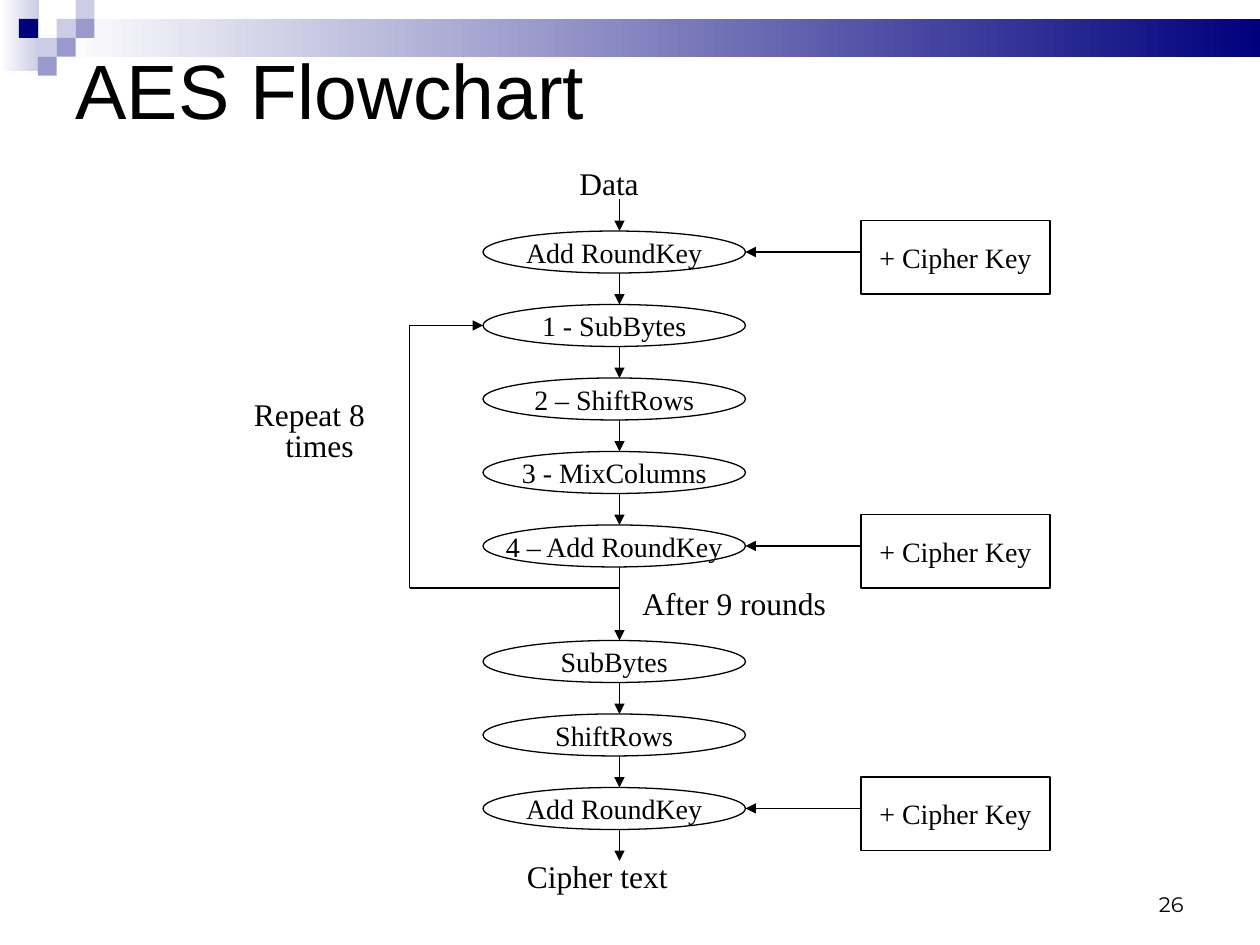
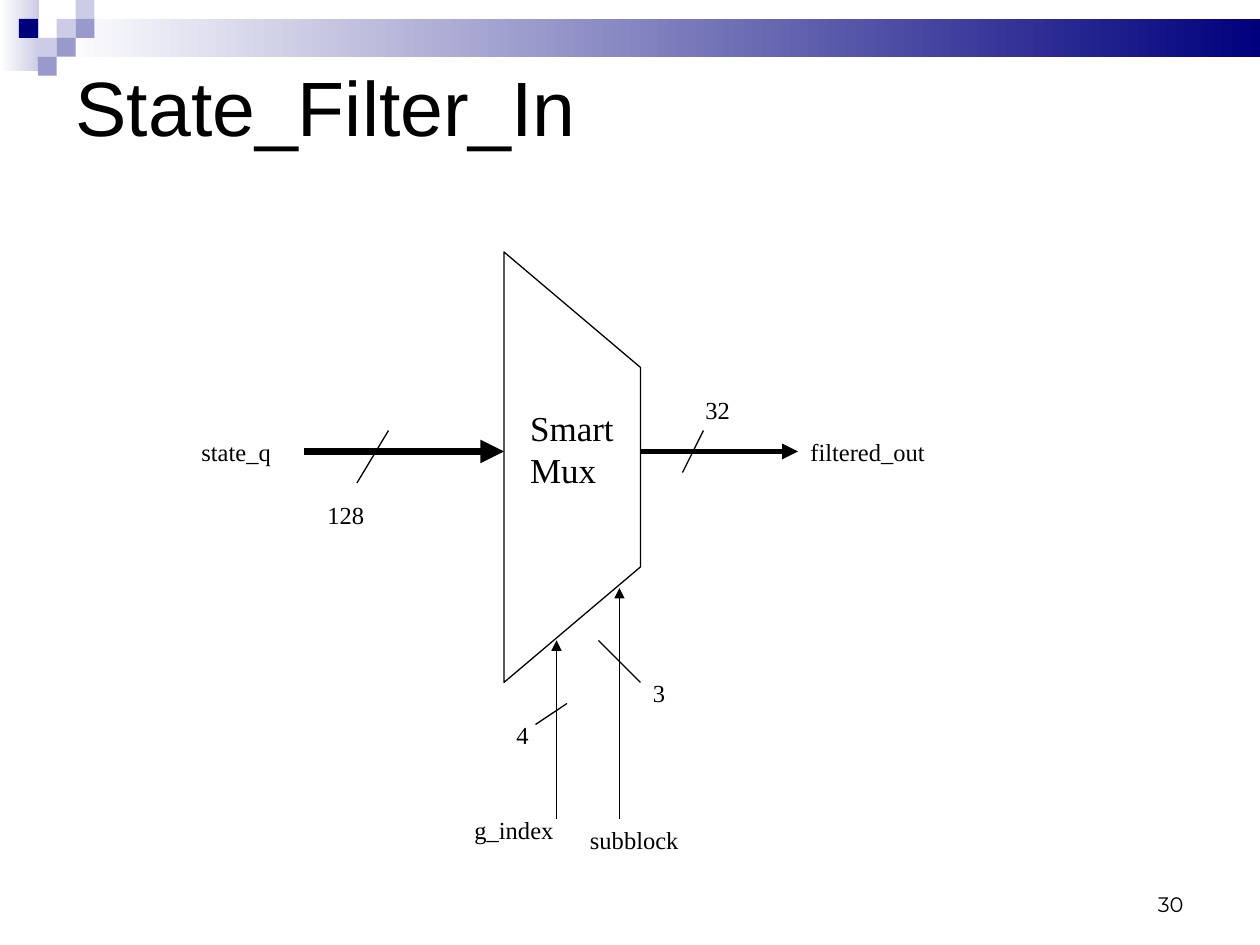
"""Builds two slides on AES: the cipher flowchart and the state filter mux."""
from dataclasses import dataclass

from lxml import etree
from pptx import Presentation
from pptx.dml.color import RGBColor
from pptx.enum.shapes import MSO_CONNECTOR, MSO_SHAPE
from pptx.enum.text import MSO_ANCHOR, MSO_AUTO_SIZE, PP_ALIGN
from pptx.oxml.ns import qn
from pptx.util import Inches, Pt

RECT, OVAL = MSO_SHAPE.RECTANGLE, MSO_SHAPE.OVAL
LINE = MSO_CONNECTOR.STRAIGHT
LEFT, MID, RIGHT = PP_ALIGN.LEFT, PP_ALIGN.CENTER, PP_ALIGN.RIGHT
TOP, CORE, BASE = MSO_ANCHOR.TOP, MSO_ANCHOR.MIDDLE, MSO_ANCHOR.BOTTOM
GROW, FIXED = MSO_AUTO_SIZE.SHAPE_TO_FIT_TEXT, MSO_AUTO_SIZE.NONE


@dataclass(frozen=True)
class Theme:
    ink: RGBColor = RGBColor(0, 0, 0)
    white: RGBColor = RGBColor(255, 255, 255)
    navy: RGBColor = RGBColor(0x00, 0x00, 0x7D)
    mid: RGBColor = RGBColor(0x99, 0x99, 0xCC)
    pale: RGBColor = RGBColor(0xCC, 0xCC, 0xE6)
    head: str = "Arial"
    body: str = "Times New Roman"
    foot: str = "Montserrat"
    title: int = 44
    mux: int = 20
    note: int = 18
    step: int = 16
    pin: int = 14
    page: int = 12
    thin: float = 0.75


T = Theme()
COLS = 120
deck = Presentation()
deck.slide_width, deck.slide_height = Inches(10), Inches(7.5)
UNIT = deck.slide_width // COLS


def place(slide, kind, cell, text="", size=T.step, fill=T.white, edge=True,
          font=T.body, align=LEFT, anchor=TOP, wrap=True, gap=0):
    """Put a shape, or a text box if kind is None, on the grid."""
    area = [round(n * UNIT) for n in cell]
    if kind is None:
        shape = slide.shapes.add_textbox(*area)
    else:
        shape = slide.shapes.add_shape(kind, *area)
        shape.shadow.inherit = False
        shape.fill.solid()
        shape.fill.fore_color.rgb = fill
        if edge:
            shape.line.color.rgb = T.ink
            shape.line.width = Pt(T.thin)
        else:
            shape.line.fill.background()
    if text:
        frame = shape.text_frame
        frame.word_wrap = wrap
        frame.vertical_anchor = anchor
        frame.auto_size = GROW if kind is None else FIXED
        for i, part in enumerate(text.split("\n")):
            para = frame.add_paragraph() if i else frame.paragraphs[0]
            para.alignment = align
            para.space_before = Pt(gap)
            run = para.add_run()
            run.text = part
            run.font.size, run.font.name = Pt(size), font
            run.font.color.rgb = T.ink
    return shape


def link(slide, start, end, width=T.thin, arrow=True):
    """Draw a straight line between two grid points."""
    ends = [round(n * UNIT) for n in (*start, *end)]
    line = slide.shapes.add_connector(LINE, *ends)
    line.line.color.rgb = T.ink
    line.line.width = Pt(width)
    if arrow:
        etree.SubElement(line.element.spPr.find(qn("a:ln")), qn("a:tailEnd"), type="triangle")
    etree.SubElement(line.element.spPr, qn("a:effectLst"))


layout = deck.slide_layouts[5]
flow, filt = [deck.slides.add_slide(layout) for _ in range(2)]

TILE = 1.8
trim = []
for cell, hue in (((0, 0, 3.7, 6.8), T.pale),
                  ((3 * TILE, TILE, COLS - 3 * TILE, 2 * TILE), T.navy)):
    band = place(flow, RECT, cell, edge=False)
    band.fill.gradient()
    band.fill.gradient_angle = 0
    for stop, tone in zip(band.fill.gradient_stops, (T.white, hue)):
        stop.color.rgb = tone
    trim.append(band)
for col, row, hue in ((3, 1, T.pale), (4, 0, T.pale), (4, 1, T.mid),
                      (2, 2, T.pale), (1, 1, T.navy), (3, 2, T.mid), (2, 3, T.mid)):
    cell = (col * TILE, row * TILE, TILE, TILE)
    trim.append(place(flow, RECT, cell, fill=hue, edge=False))
for shape in trim:
    layout.shapes.element.append(shape.element)

for slide, name, top, page in ((flow, "AES Flowchart", 2, "26"),
                               (filt, "State_Filter_In", 3.6, "30")):
    title = slide.shapes.title
    title.left, title.top = 6 * UNIT, round(top * UNIT)
    title.width, title.height = 108 * UNIT, 15 * UNIT
    frame = title.text_frame
    frame.auto_size, frame.vertical_anchor = FIXED, CORE
    para = frame.paragraphs[0]
    para.alignment, para.line_spacing = LEFT, 0.71
    run = para.add_run()
    run.text = name
    run.font.size, run.font.name = Pt(T.title), T.head
    run.font.color.rgb = T.ink
    place(slide, None, (86, 83.9, 27.9, 4), page, T.page,
          font=T.foot, align=RIGHT, anchor=BASE)

STEP_X, STEP_W, STEP_H, PITCH = 46, 25, 4, 7
AXIS, KEY_X, LOOP_X = 59, 82, 39
steps = ["Add RoundKey", "1 - SubBytes", "2 – ShiftRows", "3 - MixColumns",
         "4 – Add RoundKey", "SubBytes", "ShiftRows", "Add RoundKey"]
tops = [22 + PITCH * i + (4 if i > 4 else 0) for i in range(len(steps))]
for name, top in zip(steps, tops):
    place(flow, OVAL, (STEP_X, top, STEP_W, STEP_H), name,
          align=MID, anchor=CORE, wrap=False)
starts = [tops[0] - 3] + [top + STEP_H for top in tops]
for start, end in zip(starts, tops + [starts[-1] + 3]):
    link(flow, (AXIS, start), (AXIS, end))

for step, top in ((0, 21), (4, 49), (7, 74)):
    row = tops[step] + STEP_H / 2
    place(flow, RECT, (KEY_X, top, 18, 7), "+ Cipher Key",
          align=MID, anchor=CORE, wrap=False)
    link(flow, (KEY_X, row), (STEP_X + STEP_W, row))

turn, back = tops[4] + 6, tops[1] + STEP_H / 2
link(flow, (AXIS, turn), (LOOP_X, turn), arrow=False)
link(flow, (LOOP_X, turn), (LOOP_X, back), arrow=False)
link(flow, (LOOP_X, back), (STEP_X, back))

for text, col, row, wide in (("Data", 54, 15, 11), ("Repeat 8", 23, 37, 16),
                             ("times", 26, 40, 14), ("After 9 rounds", 60, 55, 31),
                             ("Cipher text", 49, 81, 29)):
    place(flow, None, (col, row, wide, 4.8), text, T.note, gap=11.2)

pen = filt.shapes.build_freeform(48, 24, scale=UNIT)
pen.add_line_segments([(48, 65), (61, 54), (61, 35)], close=True)
mux = pen.convert_to_shape()
mux.shadow.inherit = False
mux.fill.background()
mux.line.color.rgb = T.ink
mux.line.width = Pt(T.thin)
place(filt, None, (49.3, 38.1, 11.6, 9.2), "Smart\nMux", T.mux)

for start, end, width in (((29, 43), (48, 43), 4.5), ((61, 43), (76, 43), 3),
                          ((53, 78), (53, 61), T.thin), ((59, 78), (59, 56), T.thin)):
    link(filt, start, end, width)
for start, end in (((37, 41), (34, 46)), ((67, 41), (65, 45)),
                   ((54, 67), (51, 69)), ((57, 61), (61, 65))):
    link(filt, start, end, arrow=False)

for text, col, row, wide in (("state_q", 18, 41, 15), ("128", 30, 47, 7),
                             ("g_index", 44, 77, 15), ("4", 48, 68, 4),
                             ("subblock", 55, 78, 21), ("3", 61, 64, 4),
                             ("32", 66, 37, 5), ("filtered_out", 76, 41, 19)):
    place(filt, None, (col, row, wide, 4.1), text, T.pin, gap=8.8)

deck.save("out.pptx")
